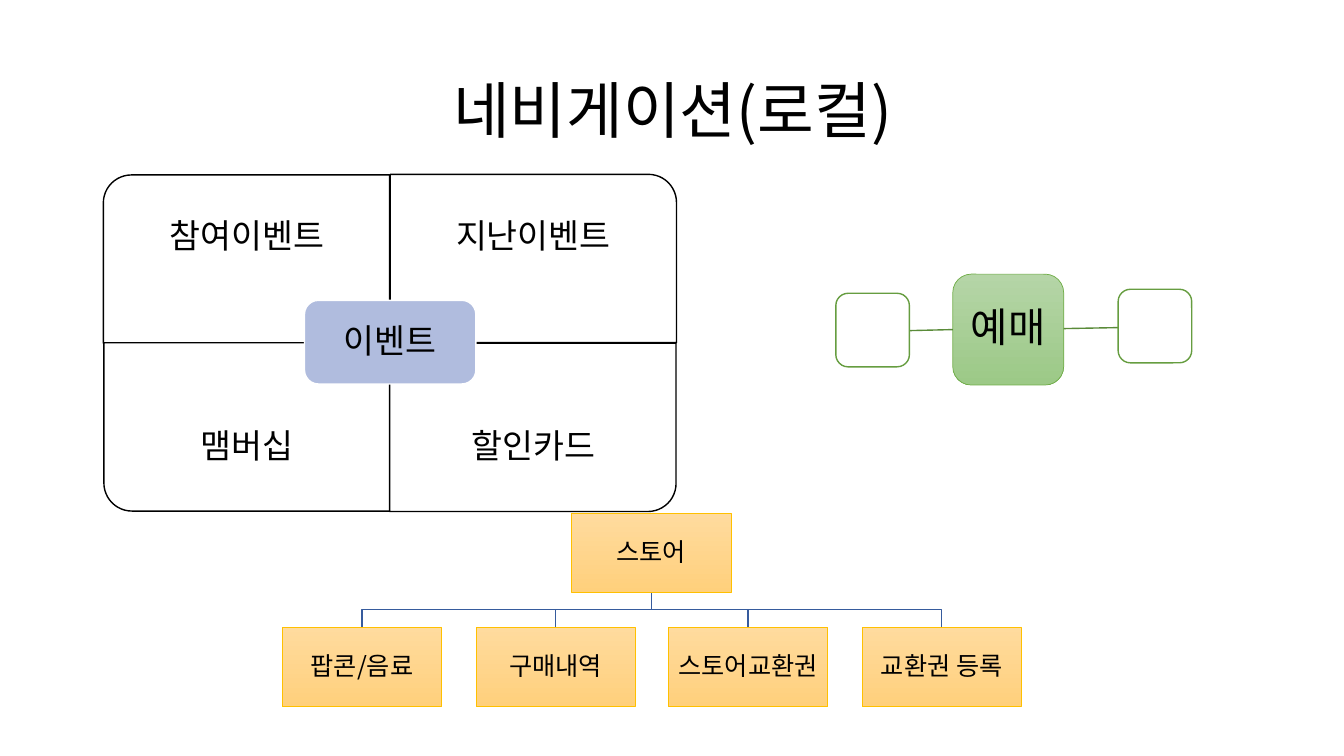
from dataclasses import dataclass

from lxml.etree import SubElement
from pptx import Presentation
from pptx.dml.color import RGBColor as RGB
from pptx.enum.shapes import MSO_CONNECTOR as CONN, MSO_SHAPE as SHAPE
from pptx.enum.text import MSO_ANCHOR as ANCHOR, PP_ALIGN as ALIGN
from pptx.oxml.ns import qn
from pptx.util import Pt

PX = 9144


@dataclass(frozen=True)
class Theme:
    font: str = "Noto Sans CJK KR"
    text: str = "000000"
    white: str = "FFFFFF"
    event: str = "B0BCDE"
    booking: tuple = ("B5D5A7", "9CC987")
    booking_line: str = "70AD47"
    side_line: str = "669D40"
    link: str = "5A8B39"
    store: tuple = ("FFDB9E", "FFD07C")
    store_line: str = "FFC000"
    branch: str = "365B9D"
    title_size: int = 44
    booking_size: int = 29
    event_size: int = 24
    store_size: int = 18


T = Theme()


def write(sp, text, size=T.event_size, color=T.text, inset=1):
    tf = sp.text_frame
    tf.word_wrap = True
    tf.vertical_anchor = ANCHOR.MIDDLE
    tf.margin_left = tf.margin_right = inset * PX
    tf.margin_top = tf.margin_bottom = inset * PX
    p = tf.paragraphs[0]
    p.alignment = ALIGN.CENTER
    p.line_spacing = 0.9
    r = p.add_run()
    r.text = text
    r.font.size = Pt(size)
    r.font.color.rgb = RGB.from_string(color)
    r.font.name = T.font
    SubElement(r.font._element, qn("a:ea"), typeface=T.font)


def add_text(s, box, text, **fmt):
    write(s.shapes.add_textbox(*(v * PX for v in box)), text, **fmt)


def set_line(sp, color, width):
    sp.line.color.rgb = RGB.from_string(color)
    sp.line.width = Pt(width)


def add_box(s, kind, box, fill, line, width=1, rotation=0):
    sp = s.shapes.add_shape(kind, *(v * PX for v in box))
    sp.shadow.inherit = False
    sp.rotation = rotation
    if isinstance(fill, tuple):
        sp.fill.gradient()
        sp.fill.gradient_angle = 270
        for stop, color in zip(sp.fill.gradient_stops, fill):
            stop.color.rgb = RGB.from_string(color)
    else:
        sp.fill.solid()
        sp.fill.fore_color.rgb = RGB.from_string(fill)
    set_line(sp, line, width)
    return sp


def add_link(s, x1, y1, x2, y2):
    c = s.shapes.add_connector(CONN.STRAIGHT, *(v * PX for v in (x1, y1, x2, y2)))
    set_line(c, T.link, 1)
    SubElement(c._element.spPr, qn("a:effectLst"))


def add_branch(s, points):
    builder = s.shapes.build_freeform(*points[0], scale=PX)
    builder.add_line_segments(points[1:], close=False)
    sp = builder.convert_to_shape()
    sp.shadow.inherit = False
    sp.fill.background()
    set_line(sp, T.branch, 1)


def add_event_matrix(s):
    left, top, w, h, label_h = 103, 173, 284, 167, 125
    quadrants = (("참여이벤트", 0, 0, 270), ("지난이벤트", 1, 0, 0),
                 ("맴버십", 0, 1, 180), ("할인카드", 1, 1, 90))
    for text, col, row, angle in quadrants:
        x, y = left + col * w, top + row * h
        box = (x, y, w, h)
        if angle % 180:
            box = (x + (w - h) // 2, y - (w - h) // 2, h, w)
        add_box(s, SHAPE.ROUND_1_RECTANGLE, box, T.white, T.text, rotation=angle)
        label_y = y + row * (h - label_h)
        add_text(s, (x, label_y, w, label_h), text, inset=19)
    hub = add_box(s, SHAPE.ROUNDED_RECTANGLE, (302, 298, 170, 83), T.event, T.white)
    write(hub, "이벤트", inset=10)


def add_booking(s):
    hub = add_box(s, SHAPE.ROUNDED_RECTANGLE, (945, 272, 110, 110),
                  T.booking, T.booking_line, 0.5)
    write(hub, "예매", size=T.booking_size, inset=8)
    add_link(s, 945, 327, 902, 328)
    add_link(s, 1055, 326, 1109, 325)
    for x, y in ((829, 291), (1109, 287)):
        add_box(s, SHAPE.ROUNDED_RECTANGLE, (x, y, 73, 73), T.white, T.side_line)


def add_store_card(s, x, y, w, h, text):
    sp = add_box(s, SHAPE.RECTANGLE, (x, y, w, h), T.store, T.store_line, 0.5)
    write(sp, text, size=T.store_size)


def add_store_tree(s):
    w, h, root_x, root_y, child_y = 158, 79, 567, 509, 622
    names = ("팝콘/음료", "구매내역", "스토어교환권", "교환권 등록")
    lefts = [280 + round(i * 575 / 3) for i in range(len(names))]
    root_mid, root_end, bend_y = root_x + w // 2, root_y + h, 605
    for x in lefts:
        mid = x + w // 2
        add_branch(s, [(root_mid, root_end), (root_mid, bend_y),
                       (mid, bend_y), (mid, child_y)])
    add_store_card(s, root_x, root_y, w, h, "스토어")
    for x, name in zip(lefts, names):
        add_store_card(s, x, child_y, w, h, name)


def main():
    prs = Presentation()
    prs.slide_width, prs.slide_height = 1333 * PX, 750 * PX
    s = prs.slides.add_slide(prs.slide_layouts[6])
    add_text(s, (92, 40, 1150, 145), "네비게이션(로컬)", size=T.title_size, inset=5)
    add_event_matrix(s)
    add_booking(s)
    add_store_tree(s)
    prs.save("out.pptx")


if __name__ == "__main__":
    main()
